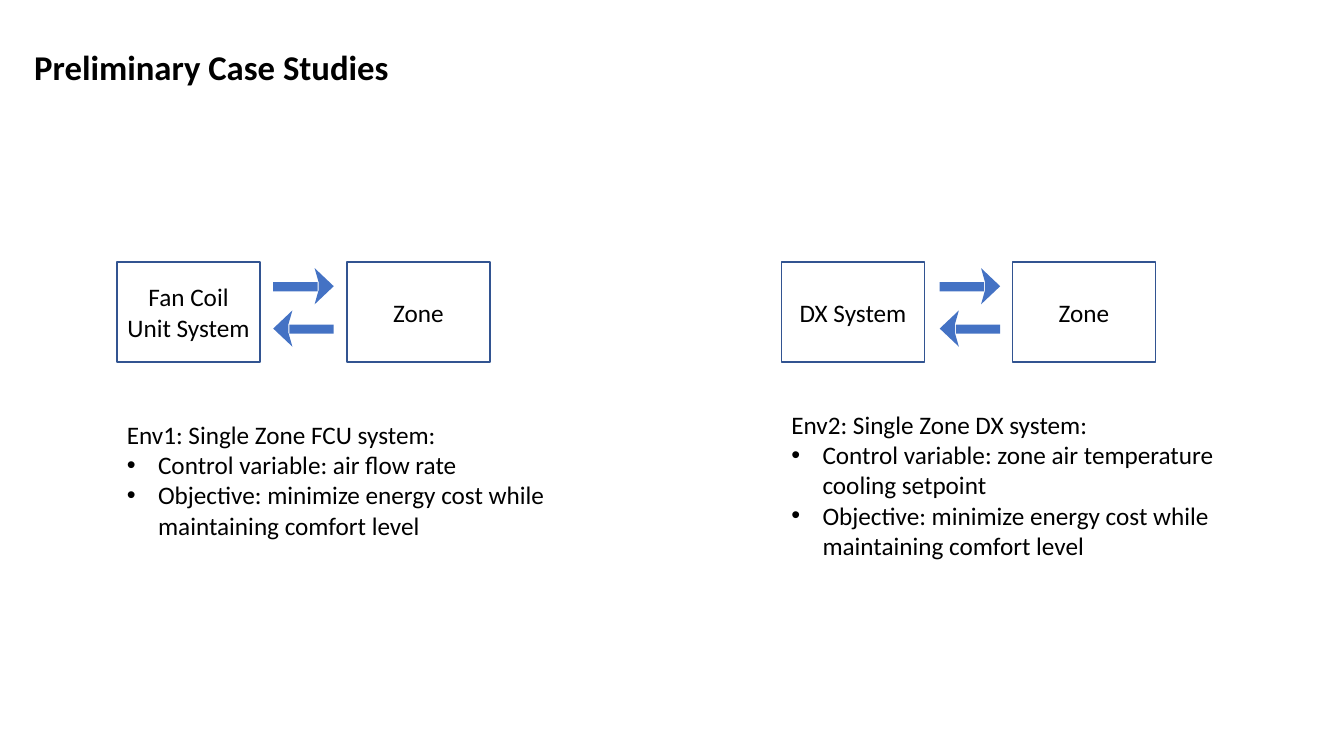
import dataclasses

import lxml.etree
import pptx
import pptx.dml.color
import pptx.enum.shapes
import pptx.enum.text
import pptx.oxml.ns
import pptx.util

PX = 9144  # EMU per px, 100 px to the inch
FONT = "Calibri"
COLORS = {"text": "000000", "outline": "325491", "arrow": "4472C4"}

BOX_TOP, BOX_W, BOX_H = 260, 142, 99
ARROW_LEN, BAR_LEN, BAR_H = 60, 44, 9
HEAD_LEN, HEAD_HALF, NOTCH = 19, 18, 15
RIGHT_Y, LEFT_Y = 284, 326
BULLET_INDENT = 31


@dataclasses.dataclass
class CaseStudy:
    system: str
    left: int
    zone_left: int
    arrow_left: int
    note_top: int
    note_w: int
    note_h: int
    heading: str
    bullets: list[str]


OBJECTIVE = "Objective: minimize energy cost while maintaining comfort level"
CASES = [
    CaseStudy("Fan Coil Unit System", 116, 344, 271, 411, 443, 162,
              "Env1: Single Zone FCU system:",
              ["Control variable: air flow rate", OBJECTIVE]),
    CaseStudy("DX System", 775, 1004, 932, 401, 480, 192,
              "Env2: Single Zone DX system:",
              ["Control variable: zone air temperature cooling setpoint", OBJECTIVE]),
]


def rgb(name: str) -> pptx.dml.color.RGBColor:
    return pptx.dml.color.RGBColor.from_string(COLORS[name])


def px(*lengths: int) -> list[int]:
    return [n * PX for n in lengths]


def format_runs(tf, size: float = 18, bold: bool = False) -> None:
    for p in tf.paragraphs:
        for r in p.runs:
            r.font.name = FONT
            r.font.size = pptx.util.Pt(size)
            r.font.bold = bold
            r.font.color.rgb = rgb("text")


def add_text(slide, left: int, top: int, width: int, height: int, text: str):
    tf = slide.shapes.add_textbox(*px(left, top, width, height)).text_frame
    tf.word_wrap = True
    tf.text = text
    return tf


def add_box(slide, left: int, label: str) -> None:
    sp = slide.shapes.add_shape(pptx.enum.shapes.MSO_SHAPE.RECTANGLE,
                                *px(left, BOX_TOP, BOX_W, BOX_H))
    sp.shadow.inherit = False
    sp.fill.background()
    sp.line.color.rgb = rgb("outline")
    sp.line.width = pptx.util.Pt(1)
    tf = sp.text_frame
    tf.word_wrap = True
    tf.vertical_anchor = pptx.enum.text.MSO_ANCHOR.MIDDLE
    tf.text = label
    tf.paragraphs[0].alignment = pptx.enum.text.PP_ALIGN.CENTER
    format_runs(tf)


def fill_arrow(sp) -> None:
    sp.shadow.inherit = False
    sp.fill.solid()
    sp.fill.fore_color.rgb = rgb("arrow")
    sp.line.fill.background()


def add_arrow(slide, left: int, mid: int, direction: int) -> None:
    """Draw a bar with a notched head; direction is 1 for right, -1 for left."""
    bar_left = left if direction == 1 else left + ARROW_LEN - BAR_LEN
    bar = slide.shapes.add_shape(pptx.enum.shapes.MSO_SHAPE.RECTANGLE,
                                 *px(bar_left, mid - BAR_H // 2, BAR_LEN, BAR_H))
    fill_arrow(bar)
    tip = left + ARROW_LEN if direction == 1 else left
    back, notch = tip - direction * HEAD_LEN, tip - direction * NOTCH
    half = BAR_H // 2
    fb = slide.shapes.build_freeform(back, mid - HEAD_HALF, scale=PX)
    fb.add_line_segments([(tip, mid), (back, mid + HEAD_HALF),
                          (notch, mid + half), (notch, mid - half)], close=True)
    fill_arrow(fb.convert_to_shape())


def add_bullet(p) -> None:
    pPr = p._p.get_or_add_pPr()
    pPr.set("marL", str(BULLET_INDENT * PX))
    pPr.set("indent", str(-BULLET_INDENT * PX))
    font = lxml.etree.SubElement(pPr, pptx.oxml.ns.qn("a:buFont"))
    font.set("typeface", "Arial")
    char = lxml.etree.SubElement(pPr, pptx.oxml.ns.qn("a:buChar"))
    char.set("char", "•")


def add_case(slide, case: CaseStudy) -> None:
    # System and zone, exchanging in both directions
    add_box(slide, case.left, case.system)
    add_box(slide, case.zone_left, "Zone")
    add_arrow(slide, case.arrow_left, RIGHT_Y, 1)
    add_arrow(slide, case.arrow_left, LEFT_Y, -1)

    # Description
    tf = add_text(slide, case.left, case.note_top, case.note_w, case.note_h, case.heading)
    tf.auto_size = pptx.enum.text.MSO_AUTO_SIZE.SHAPE_TO_FIT_TEXT
    for bullet in case.bullets:
        p = tf.add_paragraph()
        p.text = bullet
        add_bullet(p)
    format_runs(tf)


def main() -> None:
    prs = pptx.Presentation()
    prs.slide_width, prs.slide_height = px(1333, 750)
    slide = prs.slides.add_slide(prs.slide_layouts[6])

    # Title
    title = add_text(slide, 24, 41, 1153, 52, "Preliminary Case Studies")
    format_runs(title, 24.8, bold=True)

    # Case studies side by side
    for case in CASES:
        add_case(slide, case)
    prs.save("out.pptx")


if __name__ == "__main__":
    main()
